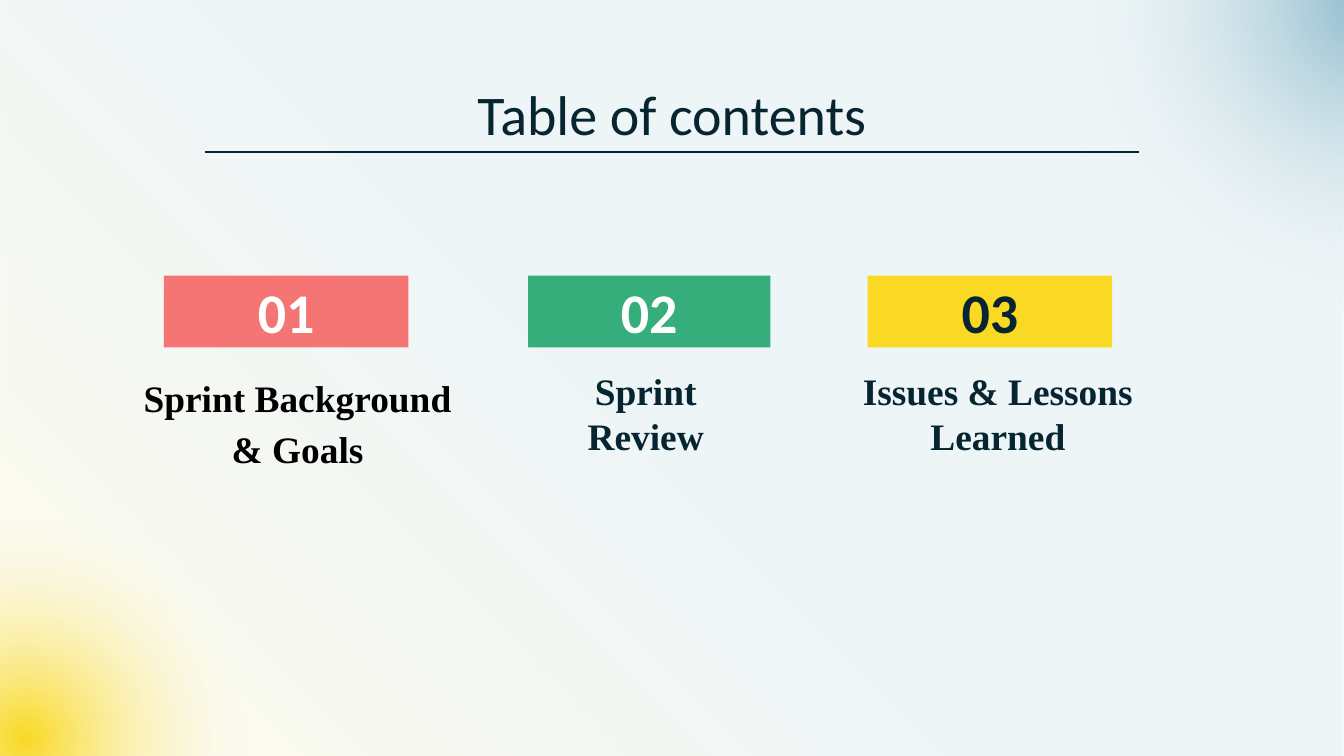
"""Build a table of contents slide with three numbered sections."""
from lxml.etree import SubElement
from pptx import Presentation
from pptx.dml.color import RGBColor
from pptx.enum.shapes import MSO_CONNECTOR as Link, MSO_SHAPE as Form
from pptx.enum.text import MSO_ANCHOR as Anchor, MSO_AUTO_SIZE as Fit, PP_ALIGN as Align
from pptx.oxml import parse_xml
from pptx.oxml.ns import nsdecls, qn
from pptx.util import Cm, Pt

INK, WHITE, BLUE, GOLD = "062531", "FFFFFF", "187498", "F9D923"


def write(shape, lines, size, font, color, bold=False, anchor=Anchor.TOP):
    """Fill a shape with centred paragraphs in one style."""
    frame = shape.text_frame
    frame.text = "\n".join(lines)
    frame.word_wrap = True
    frame.auto_size = Fit.NONE
    frame.vertical_anchor = anchor
    frame.margin_left = frame.margin_right = frame.margin_top = frame.margin_bottom = 0
    for para in frame.paragraphs:
        para.alignment = Align.CENTER
        para.font.size, para.font.name, para.font.bold = Pt(size), font, bold
        para.font.color.rgb = RGBColor.from_string(color)


def blend(shape, stops, shade):
    """Give a shape a gradient of (position, colour, opacity) stops."""
    marks = "".join(
        f'<a:gs pos="{pos * 1000}"><a:srgbClr val="{color}">'
        f'<a:alpha val="{alpha * 1000}"/></a:srgbClr></a:gs>'
        for pos, color, alpha in stops)
    shape._element.spPr.insert(2, parse_xml(
        f'<a:gradFill {nsdecls("a")} rotWithShape="1">'
        f'<a:gsLst>{marks}</a:gsLst>{shade}</a:gradFill>'))
    shape.line.fill.background()
    shape.shadow.inherit = False


deck = Presentation()
deck.slide_width, deck.slide_height = Cm(25.4), Cm(14.29)
slide = deck.slides.add_slide(deck.slide_layouts[5])
shapes = slide.shapes

wash = shapes.add_shape(Form.RECTANGLE, 0, 0, deck.slide_width, deck.slide_height)
blend(wash, [(0, BLUE, 7), (50, BLUE, 7), (100, GOLD, 7)],
      '<a:lin ang="8100000" scaled="0"/>')

round_shade = ('<a:path path="circle"><a:fillToRect l="50000" t="50000" '
               'r="50000" b="50000"/></a:path>')
for left, top, size, color, alpha in [(-6.07, 7.39, 13.08, GOLD, 100),
                                      (17.17, -8.84, 17.68, BLUE, 47)]:
    glow = shapes.add_shape(Form.OVAL, Cm(left), Cm(top), Cm(size), Cm(size))
    blend(glow, [(0, color, alpha), (50, WHITE, 0), (100, WHITE, 0)], round_shade)

title = shapes.title
title.left, title.top, title.width, title.height = Cm(2.03), Cm(1.5), Cm(21.34), Cm(1.3)
write(title, ["Table of contents"], 30, "Calibri", INK)
shapes._spTree.append(title._element)

rule = shapes.add_connector(Link.STRAIGHT, Cm(3.87), Cm(2.87), Cm(21.53), Cm(2.87))
rule.line.color.rgb = RGBColor.from_string(INK)
rule.line.width = Pt(0.75)
SubElement(rule._element.spPr, qn("a:effectLst"))

parts = [
    (3.1, 4.62, "F57474", WHITE, 2.69, 5.87, ["Sprint Background & Goals"], "000000", 1.15),
    (9.98, 4.58, "36AE7C", WHITE, 9.93, 4.55, ["Sprint", "Review"], INK, 1),
    (16.4, 4.62, GOLD, INK, 16.03, 5.66, ["Issues & Lessons Learned"], INK, 1),
]
for num, (left, width, fill, color, start, span, lines, ink, gap) in enumerate(parts, 1):
    tag = shapes.add_shape(Form.RECTANGLE, Cm(left), Cm(5.21), Cm(width), Cm(1.36))
    tag.fill.solid()
    tag.fill.fore_color.rgb = RGBColor.from_string(fill)
    tag.line.fill.background()
    tag.shadow.inherit = False
    write(tag, [f"{num:02}"], 30, "Calibri", color, True, Anchor.MIDDLE)

    label = shapes.add_textbox(Cm(start), Cm(6.96), Cm(span), Cm(1.7))
    write(label, lines, 20, "Times New Roman", ink, True)
    for para in label.text_frame.paragraphs:
        para.line_spacing = gap

deck.save("out.pptx")
